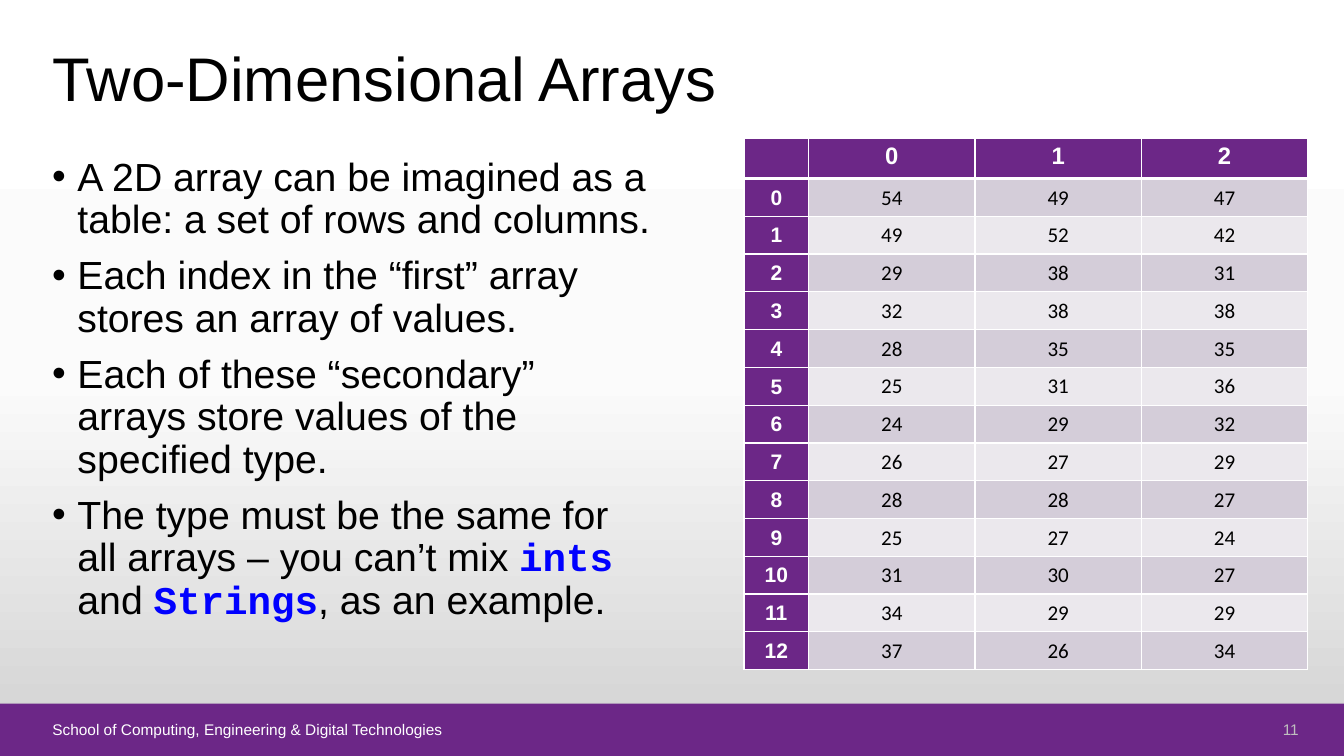
from copy import deepcopy

from lxml import etree
from pptx import Presentation
from pptx import util as u
from pptx.dml.color import RGBColor
from pptx.enum import shapes, text
from pptx.oxml import ns

PURPLE = RGBColor(0x6C, 0x27, 0x87)
WHITE = RGBColor(0xFF, 0xFF, 0xFF)
BLACK = RGBColor(0, 0, 0)
BLUE = RGBColor(0, 0, 0xFF)
SILVER = RGBColor(0xBF, 0xBF, 0xBF)
BANDS = (RGBColor(0xD4, 0xCD, 0xD9), RGBColor(0xEB, 0xE8, 0xED))
BACKDROP = ((0, WHITE), (0.5, RGBColor(0xFB, 0xFB, 0xFB)), (1, RGBColor(0xD1, 0xD1, 0xD1)))

TITLE = "Two-Dimensional Arrays"
POINTS = [
    ["A 2D array can be imagined as a table: a set of rows and columns."],
    ["Each index in the “first” array stores an array of values."],
    ["Each of these “secondary” arrays store values of the specified type."],
    ["The type must be the same for all arrays – you can’t mix ", "ints", " and ", "Strings", ", as an example."],
]
KEYWORDS = {"ints", "Strings"}
SCHOOL = "School of Computing, Engineering & Digital Technologies"
PAGE = "11"
VALUES = [
    (54, 49, 47), (49, 52, 42), (29, 38, 31), (32, 38, 38), (28, 35, 35),
    (25, 31, 36), (24, 29, 32), (26, 27, 29), (28, 28, 27), (25, 27, 24),
    (31, 30, 27), (34, 29, 29), (37, 26, 34),
]
GRID = [("", 0, 1, 2)] + [(index, *row) for index, row in enumerate(VALUES)]
INDEX_WIDTH, VALUE_WIDTH, ROW_HEIGHT = u.Inches(0.64), u.Inches(1.65), u.Inches(5.25) // len(GRID)

BODY = {"name": "Arial", "size": u.Pt(28), "bold": False, "color": BLACK}
CODE = BODY | {"name": "Courier New", "bold": True, "color": BLUE}
HEADING = BODY | {"size": u.Pt(44)}
FOOTER = BODY | {"size": u.Pt(11), "color": WHITE}
COLUMN_HEAD = FOOTER | {"size": u.Pt(17), "bold": True}
ROW_HEAD = COLUMN_HEAD | {"size": u.Pt(15)}
VALUE = ROW_HEAD | {"name": "Calibri", "bold": False, "color": BLACK}
HEAD_CELL = dict(zip(("margin_left", "margin_top", "margin_right", "margin_bottom"),
                     map(u.Inches, (0.09, 0.05, 0.09, 0.05))))
BODY_CELL = dict(zip(HEAD_CELL, map(u.Inches, (0.01, 0.01, 0.01, 0))))
BODY_CELL["vertical_anchor"] = text.MSO_ANCHOR.MIDDLE
POINT_LAYOUT = {"line_spacing": 0.9, "space_before": u.Pt(10)}


def assign(target, settings):
    for key, value in settings.items():
        setattr(target, key, value)


def write(paragraph, words, look):
    run = paragraph.add_run()
    run.text = str(words)
    assign(run.font, {key: value for key, value in look.items() if key != "color"})
    run.font.color.rgb = look["color"]


def text_frame(slide, place, anchor):
    frame = slide.shapes.add_textbox(*map(u.Inches, place)).text_frame
    assign(frame, {"word_wrap": True, "vertical_anchor": anchor})
    return frame


def add_bullet(paragraph):
    props = paragraph._p.get_or_add_pPr()
    props.set("marL", str(u.Inches(0.25)))
    props.set("indent", str(-u.Inches(0.25)))
    etree.SubElement(props, ns.qn("a:buFont"), typeface="Arial")
    etree.SubElement(props, ns.qn("a:buChar"), char="•")


def add_borders(cell, is_header):
    props = cell._tc.get_or_add_tcPr()
    for side in "LRTB":
        width = u.Pt(3 if is_header and side == "B" else 1)
        line = etree.SubElement(props, ns.qn("a:ln" + side), w=str(width))
        fill = etree.SubElement(line, ns.qn("a:solidFill"))
        etree.SubElement(fill, ns.qn("a:srgbClr"), val=str(WHITE))


def paint_background(slide):
    fill = slide.background.fill
    fill.gradient()
    fill.gradient_angle = 270
    stop_list = slide._element.find(".//" + ns.qn("a:gsLst"))
    stop_list.append(deepcopy(stop_list[0]))
    for stop, (position, color) in zip(fill.gradient_stops, BACKDROP):
        stop.position = position
        stop.color.rgb = color


def add_values(slide):
    width = INDEX_WIDTH + 3 * VALUE_WIDTH
    table = slide.shapes.add_table(len(GRID), 4, u.Inches(7.38), u.Inches(1.37),
                                   width, ROW_HEIGHT * len(GRID)).table
    for c, column in enumerate(table.columns):
        column.width = VALUE_WIDTH if c else INDEX_WIDTH
    for r, row in enumerate(GRID):
        table.rows[r].height = ROW_HEIGHT
        for c, entry in enumerate(row):
            cell = table.cell(r, c)
            assign(cell, BODY_CELL if r else HEAD_CELL)
            add_borders(cell, r == 0)
            cell.fill.solid()
            cell.fill.fore_color.rgb = BANDS[(r - 1) % 2] if r and c else PURPLE
            paragraph = cell.text_frame.paragraphs[0]
            paragraph.alignment = text.PP_ALIGN.CENTER
            if entry != "":
                write(paragraph, entry, COLUMN_HEAD if r == 0 else VALUE if c else ROW_HEAD)


def main():
    deck = Presentation()
    assign(deck, {"slide_width": u.Inches(13.33), "slide_height": u.Inches(7.5)})
    slide = deck.slides.add_slide(deck.slide_layouts[6])
    paint_background(slide)

    band = slide.shapes.add_shape(shapes.MSO_SHAPE.RECTANGLE, 0, u.Inches(6.98),
                                  deck.slide_width, u.Inches(0.52))
    band.shadow.inherit = False
    band.fill.solid()
    band.fill.fore_color.rgb = PURPLE
    band.line.fill.background()

    title = text_frame(slide, (0.42, 0.32, 10.39, 0.87), text.MSO_ANCHOR.BOTTOM).paragraphs[0]
    title.line_spacing = 0.9
    write(title, TITLE, HEADING)

    points = text_frame(slide, (0.42, 1.51, 6.16, 5.25), text.MSO_ANCHOR.TOP)
    for number, pieces in enumerate(POINTS):
        point = points.add_paragraph() if number else points.paragraphs[0]
        assign(point, POINT_LAYOUT)
        add_bullet(point)
        for piece in pieces:
            write(point, piece, CODE if piece in KEYWORDS else BODY)

    add_values(slide)

    school = text_frame(slide, (0.42, 7.12, 11.65, 0.23), text.MSO_ANCHOR.MIDDLE).paragraphs[0]
    write(school, SCHOOL, FOOTER)
    page = text_frame(slide, (12.23, 7.12, 0.75, 0.23), text.MSO_ANCHOR.MIDDLE).paragraphs[0]
    page.alignment = text.PP_ALIGN.RIGHT
    write(page, PAGE, FOOTER | {"color": SILVER})

    deck.save("out.pptx")


if __name__ == "__main__":
    main()
